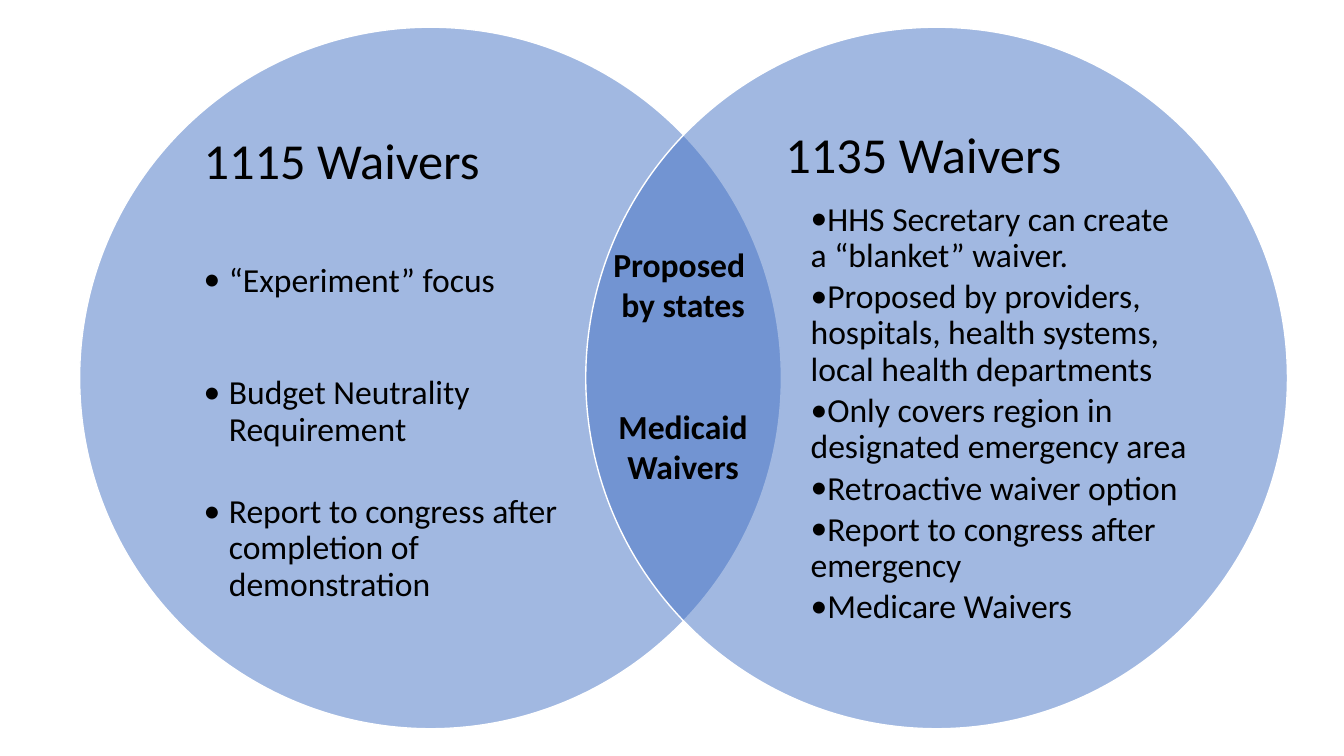
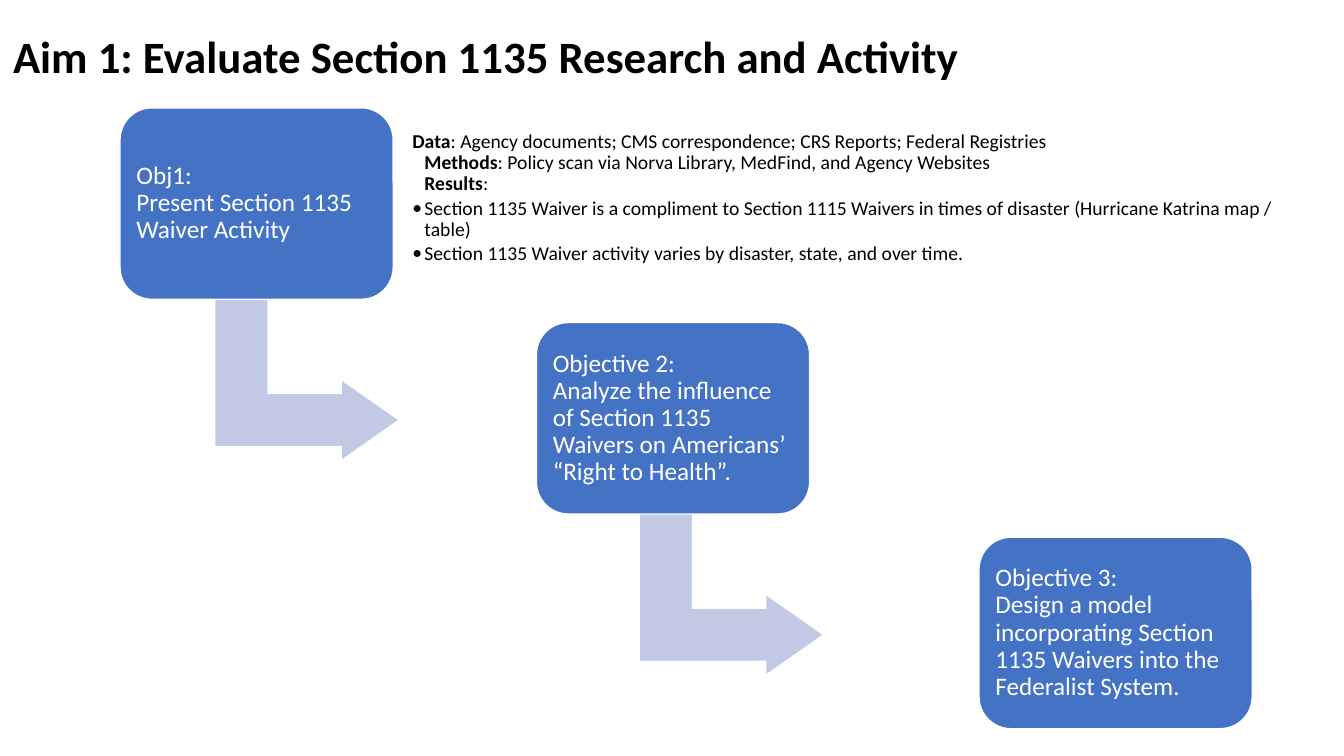
from lxml.etree import SubElement
from pptx import Presentation
from pptx.dml.color import RGBColor
from pptx.enum.shapes import MSO_SHAPE
from pptx.enum.text import MSO_ANCHOR, MSO_AUTO_SIZE, PP_ALIGN
from pptx.oxml.ns import qn
from pptx.util import Inches, Pt

FONT = "Calibri"
HUES = {"blue": "4472C4", "pale": "C1C9E4", "white": "FFFFFF", "black": "000000"}


def tint(name):
    return RGBColor.from_string(HUES[name])


def add_form(slide, kind, box, hue, alpha=None):
    form = slide.shapes.add_shape(kind, *map(Inches, box))
    form.shadow.inherit = False
    form.fill.solid()
    form.fill.fore_color.rgb = tint(hue)
    form.line.color.rgb = tint("white")
    form.line.width = Pt(1)
    if alpha:
        color = form.fill._xPr.find(qn("a:solidFill"))[0]
        SubElement(color, qn("a:alpha"), val=str(alpha * 1000))
    return form


def set_frame(frame, inset=0, anchor=MSO_ANCHOR.MIDDLE):
    frame.word_wrap = True
    frame.auto_size = MSO_AUTO_SIZE.NONE
    frame.vertical_anchor = anchor
    frame.margin_left = frame.margin_right = Inches(inset)
    frame.margin_top = frame.margin_bottom = Inches(inset)
    return frame


def add_box(slide, box, inset=0, anchor=MSO_ANCHOR.MIDDLE):
    shape = slide.shapes.add_textbox(*map(Inches, box))
    return set_frame(shape.text_frame, inset, anchor)


def add_para(frame, text, size, hue="black", bold=None, align=PP_ALIGN.LEFT,
             after=0, space=0.9, left=0, hang=0, dot=False):
    """Add a paragraph; words between asterisks are bold."""
    first = frame.paragraphs[0]
    para = first if not first.runs else frame.add_paragraph()
    for row, line in enumerate(text.split("\n")):
        if row:
            para.add_line_break()
        for part, words in enumerate(line.split("*")):
            if words:
                run = para.add_run()
                run.text = words
                if part % 2:
                    run.font.bold = True
    font = para.font
    font.name, font.size, font.bold = FONT, Pt(size), bold
    font.color.rgb = tint(hue)
    para.alignment = align
    para.line_spacing = space
    para.space_before, para.space_after = Pt(0), Pt(after)
    props = para._p.get_or_add_pPr()
    props.set("marL", str(Inches(left)))
    props.set("indent", str(Inches(-hang)))
    if dot:
        base = props.find(qn("a:defRPr"))
        base.addprevious(SubElement(props, qn("a:buFont"), typeface=FONT))
        base.addprevious(SubElement(props, qn("a:buChar"), char="•"))


def add_ring(slide, left):
    add_form(slide, MSO_SHAPE.OVAL, (left, 0.27, 6.96, 6.96), "blue", 50)


def add_list(frame, title, gap, items, hang):
    """Fill a frame with a heading and (text, space after) bullets."""
    add_para(frame, title, 36, after=gap)
    for text, after in items:
        add_para(frame, text, 24, after=after, left=0.25, hang=hang, dot=True)


def add_venn(deck):
    slide = deck.slides.add_slide(deck.slide_layouts[6])
    add_ring(slide, 0.79)
    frame = add_box(slide, (2.02, 1.35, 3.75, 5.06), anchor=MSO_ANCHOR.TOP)
    add_list(frame, "1115 Waivers", 52, [
        ("“Experiment” focus", 54.5),
        ("Budget Neutrality Requirement", 33),
        ("Report to congress after completion of demonstration", 0),
    ], 0.25)
    add_ring(slide, 5.81)
    frame = add_box(slide, (7.79, 1.09, 4.01, 5.32))
    add_list(frame, "1135 Waivers", 12.6, [(text, 3.6) for text in (
        "HHS Secretary can create a “blanket” waiver.",
        "Proposed by providers, hospitals, health systems, local health departments",
        "Only covers region in designated emergency area",
        "Retroactive waiver option",
        "Report to congress after emergency",
        "Medicare Waivers",
    )], 0)
    frame = add_box(slide, (5.86, 2.37, 1.83, 2.52), 0.1, MSO_ANCHOR.TOP)
    frame.margin_top = frame.margin_bottom = Inches(0.05)
    for text, after in (("Proposed \nby states", 58), ("Medicaid Waivers", 0)):
        add_para(frame, text, 24, bold=True, align=PP_ALIGN.CENTER,
                 after=after, space=1)


def add_step(slide, left, top, text, shift=None):
    """Draw a goal box, with a bent arrow below it if shift is given."""
    if shift:
        arrow = add_form(slide, MSO_SHAPE.BENT_UP_ARROW,
                         (left + shift, top + 1.78, 1.61, 1.83), "pale")
        arrow.rotation = 90
        for spot, value in enumerate((0.328, 0.25, 0.358)):
            arrow.adjustments[spot] = value
    card = add_form(slide, MSO_SHAPE.ROUNDED_RECTANGLE,
                    (left, top, 2.71, 1.9), "blue")
    add_para(set_frame(card.text_frame, 0.07), text, 18, "white")


def add_notes(slide, box):
    frame = add_box(slide, box, 0.07)
    rows = (
        "*Data*: Agency documents; CMS correspondence; CRS Reports; Federal Registries\n"
        "*Methods*: Policy scan via Norva Library, MedFind, and Agency Websites\n"
        "*Results*:",
        "Section 1135 Waiver is a compliment to Section 1115 Waivers in times of "
        "disaster (Hurricane Katrina map / table)",
        "Section 1135 Waiver activity varies by disaster, state, and over time.",
    )
    for row, text in enumerate(rows):
        add_para(frame, text, 14, after=2.1, left=0.12, hang=0.12, dot=row > 0)


def add_title(slide, text):
    title = slide.shapes.title
    title.left, title.top = Inches(0.03), Inches(0.14)
    title.width, title.height = Inches(12.79), Inches(0.89)
    add_para(set_frame(title.text_frame, 0.1), text, 32, bold=True)


def add_aim(deck):
    slide = deck.slides.add_slide(deck.slide_layouts[5])
    add_title(slide, "Aim 1: Evaluate Section 1135 Research and Activity")
    steps = (
        (1.19, 1.05, "Obj1:\nPresent Section 1135 Waiver Activity"),
        (5.32, 1.13, "Objective 2:\nAnalyze the influence of Section 1135 "
                     "Waivers on Americans’ “Right to Health”."),
        (9.71, None, "Objective 3:\nDesign a model incorporating Section 1135 "
                     "Waivers into the Federalist System."),
    )
    for row, (left, shift, text) in enumerate(steps):
        add_step(slide, left, 1.07 + 2.13 * row, text, shift)
    add_notes(slide, (4.02, 1.21, 9.14, 1.51))


def main():
    deck = Presentation()
    deck.slide_width, deck.slide_height = Inches(13.33), Inches(7.5)
    add_venn(deck)
    add_aim(deck)
    deck.save("out.pptx")


if __name__ == "__main__":
    main()
